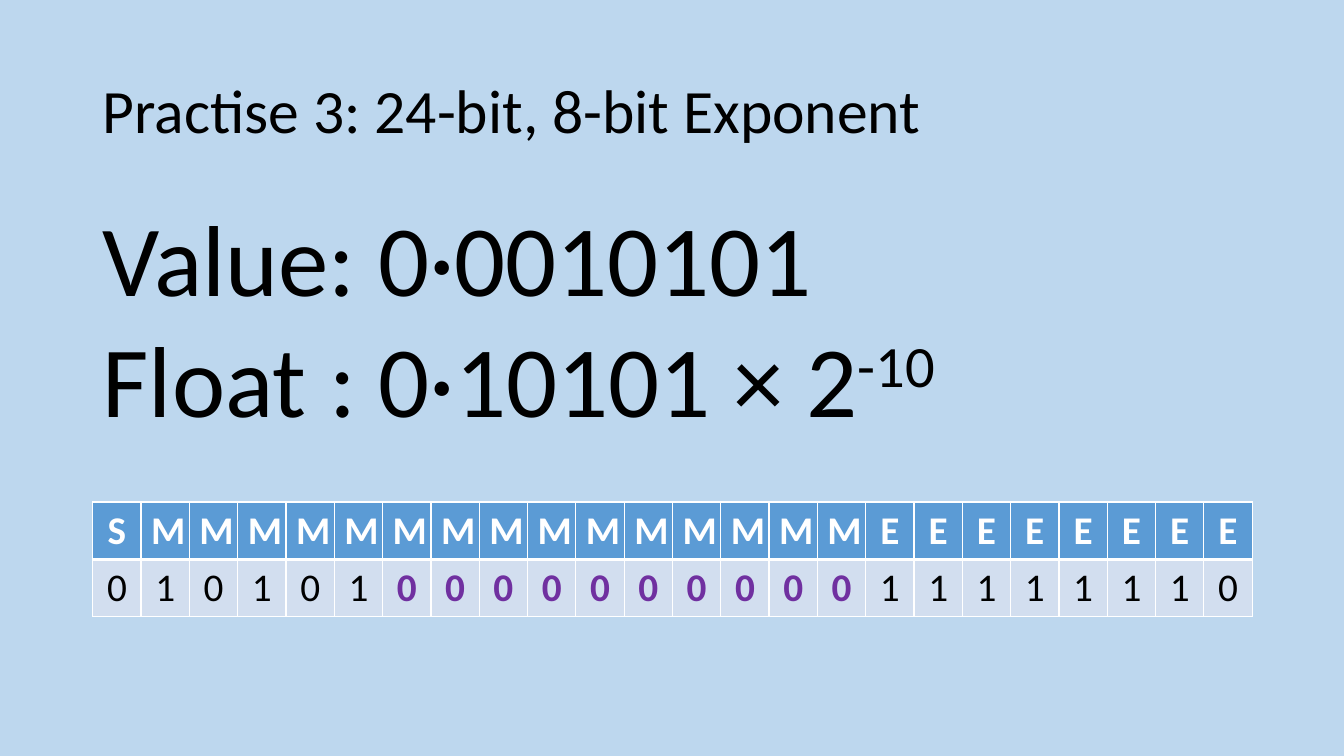
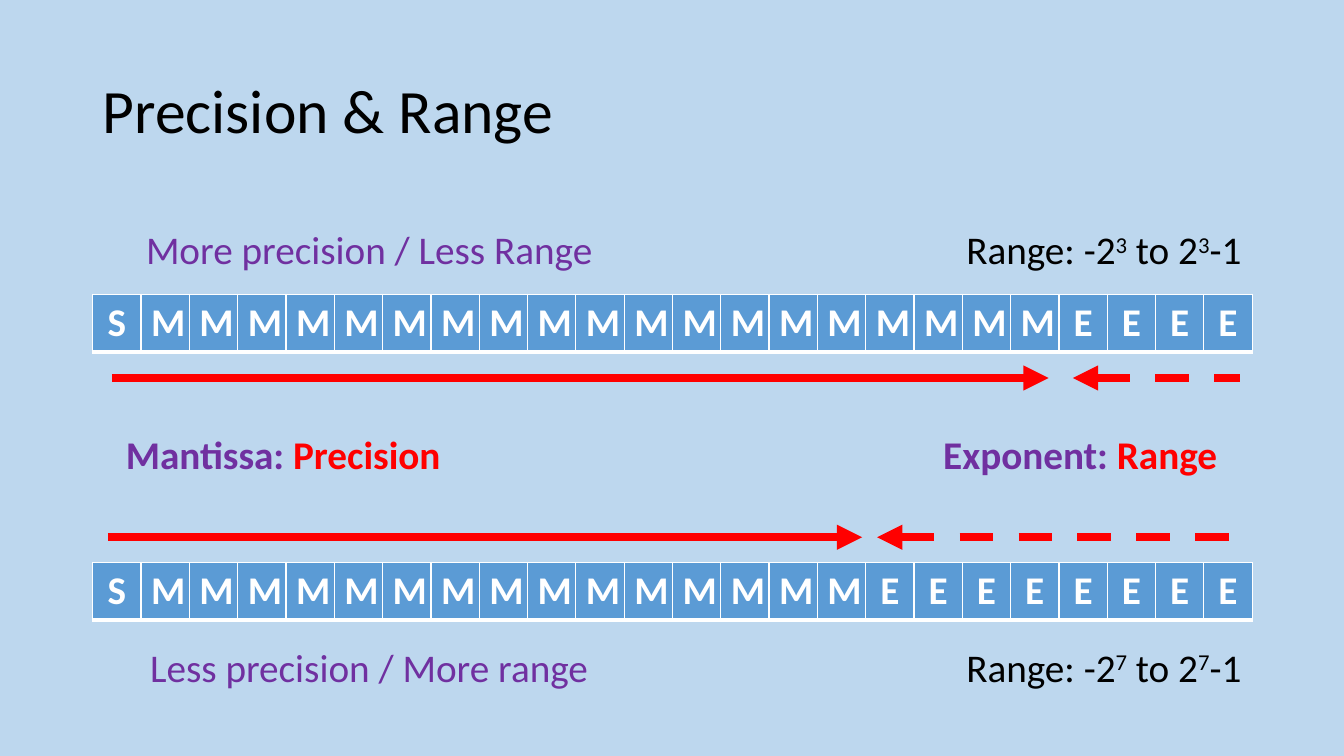
from lxml import etree
from pptx import Presentation
from pptx.dml.color import RGBColor
from pptx.enum import dml, shapes, text
from pptx.oxml import ns
from pptx.util import Inches, Pt

SKY = RGBColor(0xBD, 0xD7, 0xEE)
BLUE = RGBColor(0x5B, 0x9B, 0xD5)
PALE = RGBColor(0xD2, 0xDE, 0xEF)
PURPLE = RGBColor(0x70, 0x30, 0xA0)
RED = RGBColor(0xFF, 0x00, 0x00)
WHITE = RGBColor(0xFF, 0xFF, 0xFF)
BLACK = RGBColor(0x00, 0x00, 0x00)
FONT = "Calibri"
LEFT, WIDTH, ROW_HEIGHT = 0.92, 11.5, 0.57
WORD_BITS = 24
RIGHT = text.PP_ALIGN.RIGHT

# Content: runs are (text, format); "sup" marks a superscript
SUP = {"sup": True}
PRACTICE_TITLE = "Practise 3: 24-bit, 8-bit Exponent"
WORKING = [
    [("Value: 0·0010101", {})],
    [("Float : 0·10101 × 2", {}), ("-10", SUP)],
]
SIGN_AND_MANTISSA, PADDING, EXPONENT = "010101", "0" * 10, "11111110"

RANGE_TITLE = "Precision & Range"
# exponent bits, table top, caption, caption left and width, caption top,
# arrow height, mantissa arrow ends, exponent arrow ends
FORMATS = [
    (4, 2.92, "More precision / Less Range", 1.35, 4.68, 2.19,
     3.75, (1.11, 10.4), (10.64, 12.3)),
    (8, 5.58, "Less precision / More range", 1.39, 4.59, 6.33,
     5.33, (1.07, 8.55), (8.7, 12.32)),
]
# part, what it decides, left, width, alignment
ROLES = [
    ("Mantissa: ", "Precision", 1.15, 3.36, None),
    ("Exponent: ", "Range", 9.22, 2.95, RIGHT),
]


def write(frame, paragraphs, size=28, color=BLACK, bold=False, align=None,
          spacing=None):
    """Fill a text frame; a plain string is one paragraph of one run."""
    if isinstance(paragraphs, str):
        paragraphs = [[(paragraphs, {})]]
    for index, runs in enumerate(paragraphs):
        para = frame.paragraphs[0] if index == 0 else frame.add_paragraph()
        para.alignment = align
        para.line_spacing = spacing
        for words, look in runs:
            run = para.add_run()
            run.text = words
            run.font.name, run.font.size = FONT, Pt(size)
            run.font.bold = bold
            run.font.color.rgb = look.get("color", color)
            if look.get("sup"):
                run._r.get_or_add_rPr().set("baseline", "30000")


def add_label(slide, paragraphs, left, top, width, height=ROW_HEIGHT,
              wrap=False, anchor=text.MSO_ANCHOR.TOP, **look):
    label = slide.shapes.add_textbox(
        Inches(left), Inches(top), Inches(width), Inches(height))
    frame = label.text_frame
    frame.word_wrap, frame.vertical_anchor = wrap, anchor
    write(frame, paragraphs, **look)


def add_titled_slide(deck, title):
    slide = deck.slides.add_slide(deck.slide_layouts[6])
    slide.background.fill.solid()
    slide.background.fill.fore_color.rgb = SKY
    add_label(slide, title, LEFT, 0.4, WIDTH, 1.45, wrap=True,
              anchor=text.MSO_ANCHOR.MIDDLE, size=44, spacing=0.9)
    return slide


def fill_cell(cell, words, fill, color, bold, top=1, bottom=1):
    props = cell._tc.get_or_add_tcPr()
    for side, points in (("L", 1), ("R", 1), ("T", top), ("B", bottom)):
        edge = etree.SubElement(props, ns.qn(f"a:ln{side}"), w=str(Pt(points)))
        paint = etree.SubElement(edge, ns.qn("a:solidFill"))
        etree.SubElement(paint, ns.qn("a:srgbClr"), val=str(WHITE))
    cell.fill.solid()
    cell.fill.fore_color.rgb = fill
    write(cell.text_frame, words, color=color, bold=bold,
          align=text.PP_ALIGN.CENTER)


def add_word(slide, exponent_bits, top, bits=""):
    """Draw the S/M/E header row and, if given, the bits below it."""
    rows = 2 if bits else 1
    table = slide.shapes.add_table(
        rows, WORD_BITS, Inches(LEFT), Inches(top), Inches(WIDTH),
        Inches(ROW_HEIGHT * rows)).table
    table.first_row = table.horz_banding = False
    header = "S" + "M" * (WORD_BITS - 1 - exponent_bits) + "E" * exponent_bits
    for col, letter in enumerate(header):
        fill_cell(table.cell(0, col), letter, BLUE, WHITE, True, bottom=3)
    padding_start = len(SIGN_AND_MANTISSA)
    for col, bit in enumerate(bits):
        padded = padding_start <= col < padding_start + len(PADDING)
        fill_cell(table.cell(1, col), bit, PALE, PURPLE if padded else BLACK,
                  padded, top=3)


def add_arrow(slide, ends, y, arrow_end, dashed=False):
    start, stop = ends
    arrow = slide.shapes.add_connector(
        shapes.MSO_CONNECTOR.STRAIGHT,
        Inches(start), Inches(y), Inches(stop), Inches(y))
    arrow.line.color.rgb, arrow.line.width = RED, Pt(6)
    if dashed:
        arrow.line.dash_style = dml.MSO_LINE.DASH
    etree.SubElement(arrow.line._get_or_add_ln(), ns.qn(f"a:{arrow_end}"),
                     type="triangle")
    etree.SubElement(arrow._element.spPr, ns.qn("a:effectLst"))


def build_practice(deck):
    slide = add_titled_slide(deck, PRACTICE_TITLE)
    add_label(slide, WORKING, LEFT, 1.89, 8.66, 2.52, size=72)
    add_word(slide, len(EXPONENT), 4.98, SIGN_AND_MANTISSA + PADDING + EXPONENT)


def build_range(deck):
    slide = add_titled_slide(deck, RANGE_TITLE)
    for (exponent_bits, table_top, caption, left, width, caption_top,
         arrow_y, mantissa_ends, exponent_ends) in FORMATS:
        add_word(slide, exponent_bits, table_top)
        add_arrow(slide, mantissa_ends, arrow_y, "tailEnd")
        add_arrow(slide, exponent_ends, arrow_y, "headEnd", dashed=True)
        add_label(slide, caption, left, caption_top, width, color=PURPLE)
        power = (str(exponent_bits - 1), SUP)
        limits = [("Range: -2", {}), power, (" to 2", {}), power, ("-1", {})]
        add_label(slide, [limits], 9.42, caption_top, 2.99, wrap=True,
                  align=RIGHT)
    # What each part of the word decides
    for part, effect, left, width, align in ROLES:
        add_label(slide, [[(part, {}), (effect, {"color": RED})]], left, 4.22,
                  width, color=PURPLE, bold=True, align=align)


def main():
    deck = Presentation()
    deck.slide_width, deck.slide_height = Inches(13.33), Inches(7.5)
    build_practice(deck)
    build_range(deck)
    deck.save("out.pptx")


if __name__ == "__main__":
    main()
